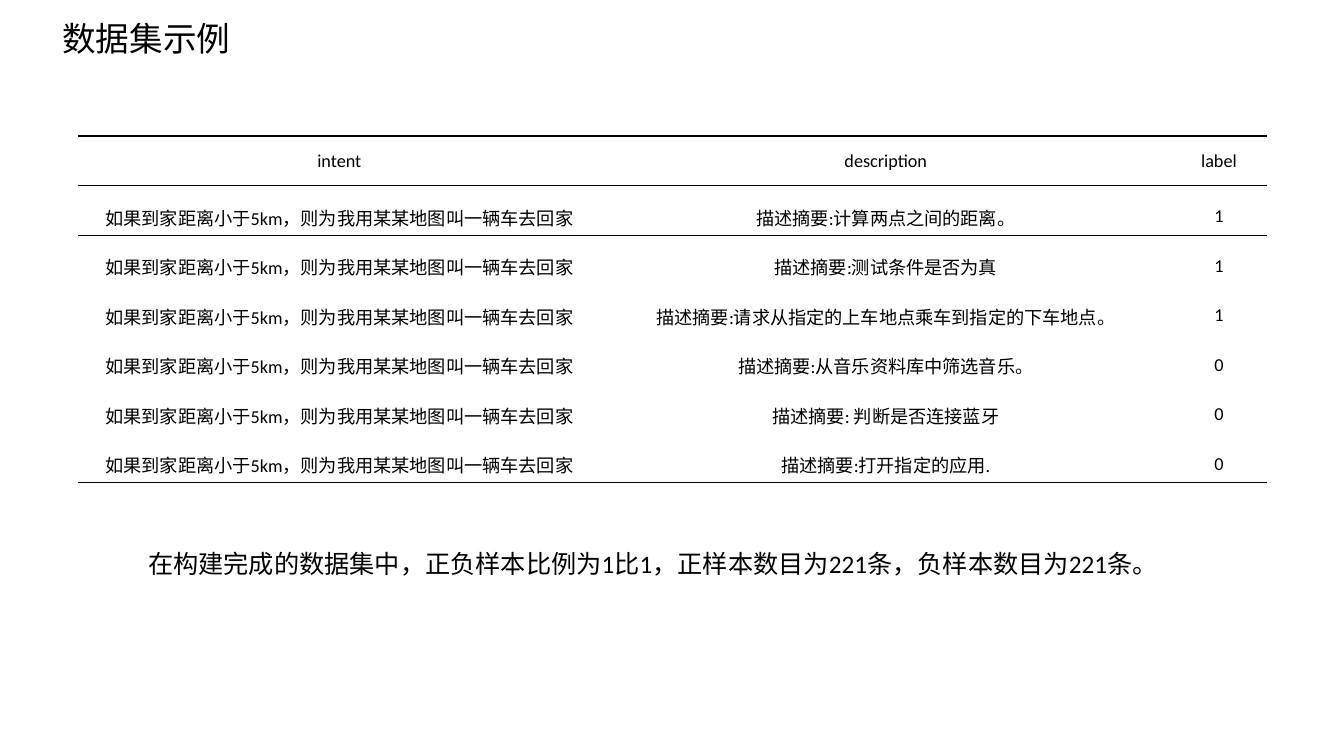
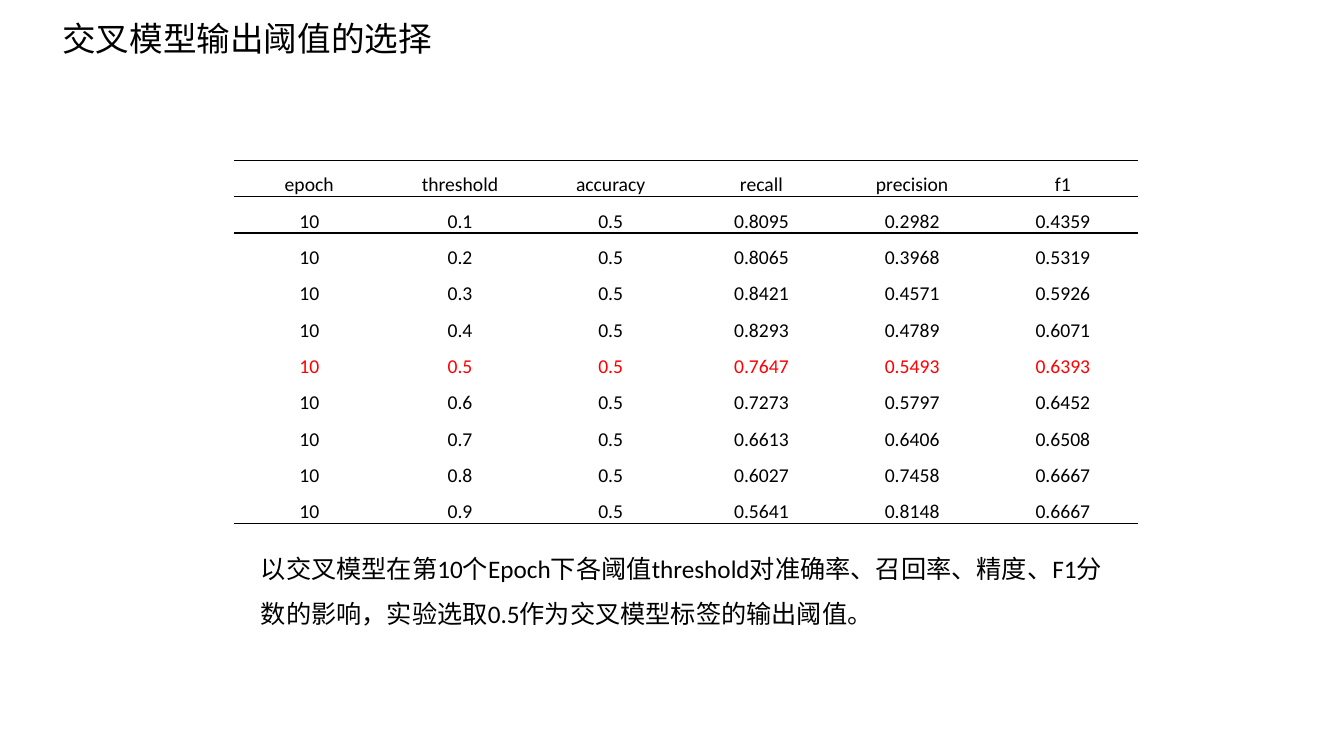
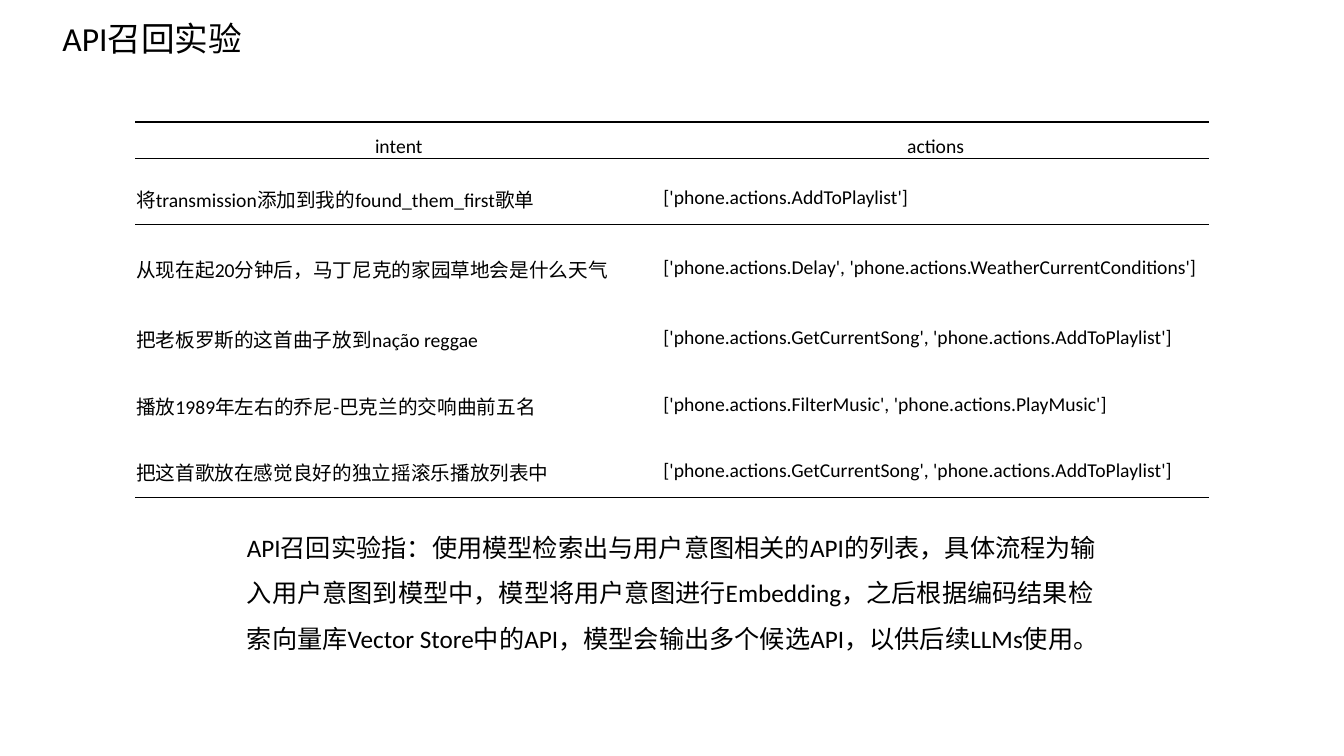
from lxml.etree import SubElement
from pptx import Presentation
from pptx.dml.color import RGBColor
from pptx.enum.text import MSO_ANCHOR, MSO_AUTO_SIZE, PP_ALIGN
from pptx.oxml.ns import qn
from pptx.util import Inches, Pt

BLACK = RGBColor(0, 0, 0)
RED = RGBColor(255, 0, 0)
FONT = "Calibri"
WIDE, HIGH = 13.33, 7.5
PLAIN = "{2D5ABB26-0587-4C30-8999-92F81FD0307C}"

FRAME = {"word_wrap": True, "auto_size": MSO_AUTO_SIZE.SHAPE_TO_FIT_TEXT}
CELL = {"margin_left": Inches(0.01), "margin_right": Inches(0.01),
        "margin_top": Inches(0.01), "margin_bottom": 0,
        "vertical_anchor": MSO_ANCHOR.MIDDLE}
TITLE = {"size": Pt(24)}
NOTE = {"size": Pt(18)}
OPEN = {"line_spacing": 1.5}
MID = {"alignment": PP_ALIGN.CENTER}

WISH = "如果到家距离小于5km，则为我用某某地图叫一辆车去回家"
SAMPLES = [
    ("描述摘要:计算两点之间的距离。", "1"),
    ("描述摘要:测试条件是否为真", "1"),
    ("描述摘要:请求从指定的上车地点乘车到指定的下车地点。", "1"),
    ("描述摘要:从音乐资料库中筛选音乐。", "0"),
    ("描述摘要: 判断是否连接蓝牙", "0"),
    ("描述摘要:打开指定的应用.", "0"),
]
SCORES = [
    ("0.1", "0.8095", "0.2982", "0.4359"),
    ("0.2", "0.8065", "0.3968", "0.5319"),
    ("0.3", "0.8421", "0.4571", "0.5926"),
    ("0.4", "0.8293", "0.4789", "0.6071"),
    ("0.5", "0.7647", "0.5493", "0.6393"),
    ("0.6", "0.7273", "0.5797", "0.6452"),
    ("0.7", "0.6613", "0.6406", "0.6508"),
    ("0.8", "0.6027", "0.7458", "0.6667"),
    ("0.9", "0.5641", "0.8148", "0.6667"),
]
CALLS = [
    ("将transmission添加到我的found_them_first歌单",
     "['phone.actions.AddToPlaylist']"),
    ("从现在起20分钟后，马丁尼克的家园草地会是什么天气",
     "['phone.actions.Delay', 'phone.actions.WeatherCurrentConditions']"),
    ("把老板罗斯的这首曲子放到nação reggae",
     "['phone.actions.GetCurrentSong', 'phone.actions.AddToPlaylist']"),
    ("播放1989年左右的乔尼-巴克兰的交响曲前五名",
     "['phone.actions.FilterMusic', 'phone.actions.PlayMusic']"),
    ("把这首歌放在感觉良好的独立摇滚乐播放列表中",
     "['phone.actions.GetCurrentSong', 'phone.actions.AddToPlaylist']"),
]

SLIDES = [
    {"title": "数据集示例", "span": 2,
     "note": "在构建完成的数据集中，正负样本比例为1比1，正样本数目为221条，负样本数目为221条。",
     "box": (1.37, 5.24, 10.6, 0.51),
     "head": ("intent", "description", "label"),
     "body": [(WISH, *row) for row in SAMPLES],
     "at": (0.77, 1.35, 11.8, 3.44), "cols": (5.19, 5.65, 0.96), "rows": [1] * 7,
     "size": 13, "top": MID, "para": MID | OPEN, "mark": None},
    {"title": "交叉模型输出阈值的选择", "span": 4,
     "note": "以交叉模型在第10个Epoch下各阈值threshold对准确率、召回率、精度、F1分数的影响，"
             "实验选取0.5作为交叉模型标签的输出阈值。",
     "box": (2.49, 5.29, 8.63, 0.96),
     "head": ("epoch", "threshold", "accuracy", "recall", "precision", "f1"),
     "body": [("10", cut, "0.5", *rest) for cut, *rest in SCORES],
     "at": (2.32, 1.59, 8.97, 3.6), "cols": [1] * 6, "rows": [1] * 10,
     "size": 14, "top": MID | OPEN, "para": MID | OPEN, "mark": 5},
    {"title": "API召回实验", "span": 2,
     "note": "API召回实验指：使用模型检索出与用户意图相关的API的列表，具体流程为输入用户意图到模型中，"
             "模型将用户意图进行Embedding，之后根据编码结果检索向量库Vector Store中的API，"
             "模型会输出多个候选API，以供后续LLMs使用。",
     "box": (2.35, 5.08, 8.63, 1.42),
     "head": ("intent", "actions"), "body": CALLS,
     "at": (1.34, 1.21, 10.65, 3.72), "cols": (5.23, 5.42),
     "rows": (0.35, 0.66, 0.73, 0.66, 0.66, 0.66),
     "size": 14, "top": MID | OPEN, "para": OPEN, "mark": None},
]


def apply(thing, form):
    for name, value in form.items():
        setattr(thing, name, value)


def write(frame, text, font, para):
    line = frame.paragraphs[0]
    apply(line, para)
    run = line.add_run()
    run.text = text
    apply(run.font, {"name": FONT} | font)
    run.font.color.rgb = BLACK
    return run


def label(slide, box, text, font, para):
    frame = slide.shapes.add_textbox(*map(Inches, box)).text_frame
    apply(frame, FRAME)
    write(frame, text, font, para)


def rule(cell, side):
    edge = SubElement(cell._tc.get_or_add_tcPr(), qn("a:" + side), w=str(Pt(1)))
    fill = SubElement(edge, qn("a:solidFill"))
    SubElement(fill, qn("a:srgbClr"), val=str(BLACK))


def share(parts, total):
    return [Inches(total * part / sum(parts)) for part in parts]


def grid(slide, page):
    data = [page["head"], *page["body"]]
    last = len(data) - 1
    table = slide.shapes.add_table(
        len(data), len(data[0]), *map(Inches, page["at"])).table
    apply(table, {"first_row": False, "horz_banding": False})
    table._tbl.tblPr.find(qn("a:tableStyleId")).text = PLAIN
    for col, size in zip(table.columns, share(page["cols"], page["at"][2])):
        col.width = size
    for row, size in zip(table.rows, share(page["rows"], page["at"][3])):
        row.height = size
    for r, texts in enumerate(data):
        for c, text in enumerate(texts):
            cell = table.cell(r, c)
            apply(cell, CELL)
            run = write(cell.text_frame, text, {"size": Pt(page["size"])},
                        page["para"] if r else page["top"])
            if r == page["mark"]:
                run.font.color.rgb = RED
            if r in (0, 1):
                rule(cell, "lnT")
            if r in (0, last):
                rule(cell, "lnB")
            cell.fill.background()


def main():
    deck = Presentation()
    apply(deck, {"slide_width": Inches(WIDE), "slide_height": Inches(HIGH)})
    for page in SLIDES:
        slide = deck.slides.add_slide(deck.slide_layouts[6])
        label(slide, (0.52, 0.13, page["span"], 0.5), page["title"], TITLE, {})
        grid(slide, page)
        label(slide, page["box"], page["note"], NOTE, OPEN)
    deck.save("out.pptx")


if __name__ == "__main__":
    main()
